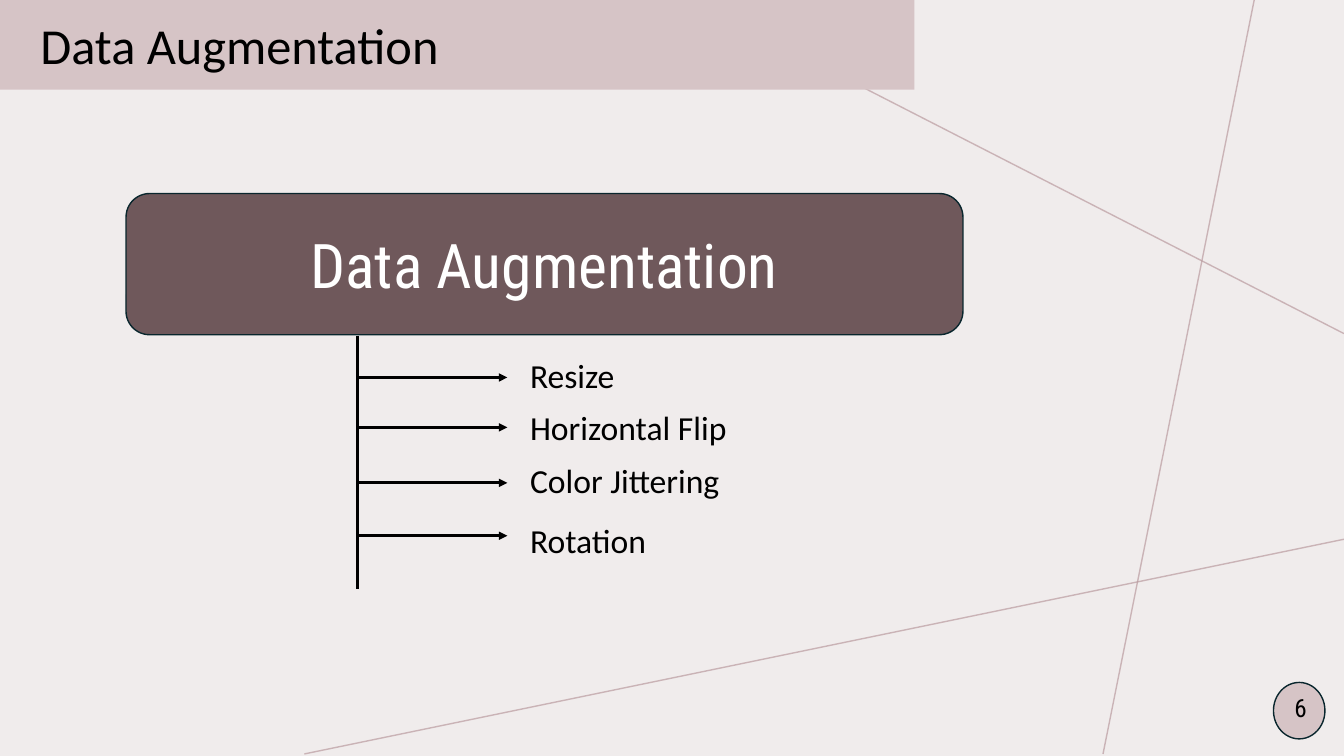
from dataclasses import dataclass

from lxml.etree import SubElement
from pptx import Presentation
from pptx.dml.color import RGBColor
from pptx.enum.shapes import MSO_CONNECTOR as Connector, MSO_SHAPE as Preset
from pptx.enum.text import MSO_ANCHOR as Anchor, PP_ALIGN as Align
from pptx.oxml.ns import qn
from pptx.util import Inches, Pt

BODY_FONT, ACCENT_FONT = "Calibri", "Roboto Condensed"
BLACK, WHITE = "000000", "FFFFFF"
PAPER, ROSE, MAUVE = "F0ECEC", "D6C4C6", "6F585B"
THREAD, OUTLINE = "BA9CA0", "09262D"
TRUNK_X, LABEL_X = 26.63, 38.7


# Lengths are percentages of the slide's width and height
@dataclass(frozen=True)
class Area:
    left: float
    top: float
    width: float
    height: float


@dataclass(frozen=True)
class Segment:
    x1: float
    y1: float
    x2: float
    y2: float


@dataclass(frozen=True)
class Branch:
    text: str
    arrow_y: float
    label_top: float
    label_width: float


THREADS = [
    Segment(51.8, 0.27, 100, 44.13),
    Segment(100, 71.33, 22.65, 99.73),
    Segment(82.07, 99.73, 93.32, 0),
]
BRANCHES = [
    Branch("Resize", 49.93, 46.27, 15.8),
    Branch("Horizontal Flip", 56.53, 53.2, 18.6),
    Branch("Color Jittering", 63.87, 60.13, 21.1),
    Branch("Rotation", 70.87, 68.13, 12.2),
]

deck = Presentation()
deck.slide_width, deck.slide_height = Inches(13.33), Inches(7.5)
page = deck.slides.add_slide(deck.slide_layouts[5])


def color(value: str) -> RGBColor:
    return RGBColor.from_string(value)


def across(share: float) -> int:
    return round(deck.slide_width * share / 100)


def down(share: float) -> int:
    return round(deck.slide_height * share / 100)


def frame(area: Area) -> tuple[int, int, int, int]:
    return across(area.left), down(area.top), across(area.width), down(area.height)


def write(box, text: str, size: float, font: str, ink: str = BLACK,
          align: Align = Align.LEFT, anchor: Anchor = Anchor.TOP, wrap: bool = True) -> None:
    box.text_frame.word_wrap = wrap
    box.text_frame.vertical_anchor = anchor
    para = box.text_frame.paragraphs[0]
    para.alignment = align
    span = para.add_run()
    span.text = text
    span.font.size, span.font.name = Pt(size), font
    span.font.color.rgb = color(ink)


def add_label(area: Area, text: str, size: float, font: str, wrap: bool = True) -> None:
    write(page.shapes.add_textbox(*frame(area)), text, size, font, wrap=wrap)


def add_panel(preset: Preset, area: Area, fill: str, outline: str | None = None):
    panel = page.shapes.add_shape(preset, *frame(area))
    panel.shadow.inherit = False
    panel.fill.solid()
    panel.fill.fore_color.rgb = color(fill)
    if outline:
        panel.line.color.rgb = color(outline)
        panel.line.width = Pt(1)
    else:
        panel.line.fill.background()
    return panel


def add_line(segment: Segment, ink: str, width: float,
             opacity: int = 100, arrow: bool = False) -> None:
    line = page.shapes.add_connector(
        Connector.STRAIGHT, across(segment.x1), down(segment.y1),
        across(segment.x2), down(segment.y2))
    line.line.color.rgb = color(ink)
    line.line.width = Pt(width)
    properties = line.line._get_or_add_ln()
    if opacity < 100:
        tint = properties.find(".//" + qn("a:srgbClr"))
        SubElement(tint, qn("a:alpha"), val=str(opacity * 1000))
    if arrow:
        SubElement(properties, qn("a:tailEnd"), type="triangle")
    SubElement(line._element.spPr, qn("a:effectLst"))


def main() -> None:
    # Background and thin crossing lines
    page.background.fill.solid()
    page.background.fill.fore_color.rgb = color(PAPER)
    for thread in THREADS:
        add_line(thread, THREAD, 1, opacity=70)

    # Title on its band
    band = add_panel(Preset.RECTANGLE, Area(0, 0, 68.04, 11.87), ROSE)
    title = page.shapes.title
    title.left, title.top, title.width, title.height = frame(Area(2.25, 1.2, 65.79, 9.47))
    write(title, "Data Augmentation", 36, BODY_FONT)
    band._element.addnext(title._element)

    # Page number
    add_panel(Preset.OVAL, Area(94.75, 90.27, 3.83, 7.47), ROSE, OUTLINE)
    add_label(Area(95.57, 90.93, 2.33, 5.33), "6", 18, ACCENT_FONT, wrap=False)

    # Heading box and trunk
    heading = add_panel(Preset.ROUNDED_RECTANGLE, Area(9.38, 25.6, 62.27, 18.67), MAUVE, OUTLINE)
    write(heading, "Data Augmentation", 44, ACCENT_FONT, WHITE, Align.CENTER, Anchor.MIDDLE)
    add_line(Segment(TRUNK_X, 44.4, TRUNK_X, 77.87), BLACK, 2)

    # Branches with their labels
    for branch in BRANCHES:
        add_line(Segment(TRUNK_X, branch.arrow_y, 37.75, branch.arrow_y), BLACK, 2, arrow=True)
        add_label(Area(LABEL_X, branch.label_top, branch.label_width, 6.67),
                  branch.text, 24, BODY_FONT)

    deck.save("out.pptx")


if __name__ == "__main__":
    main()
